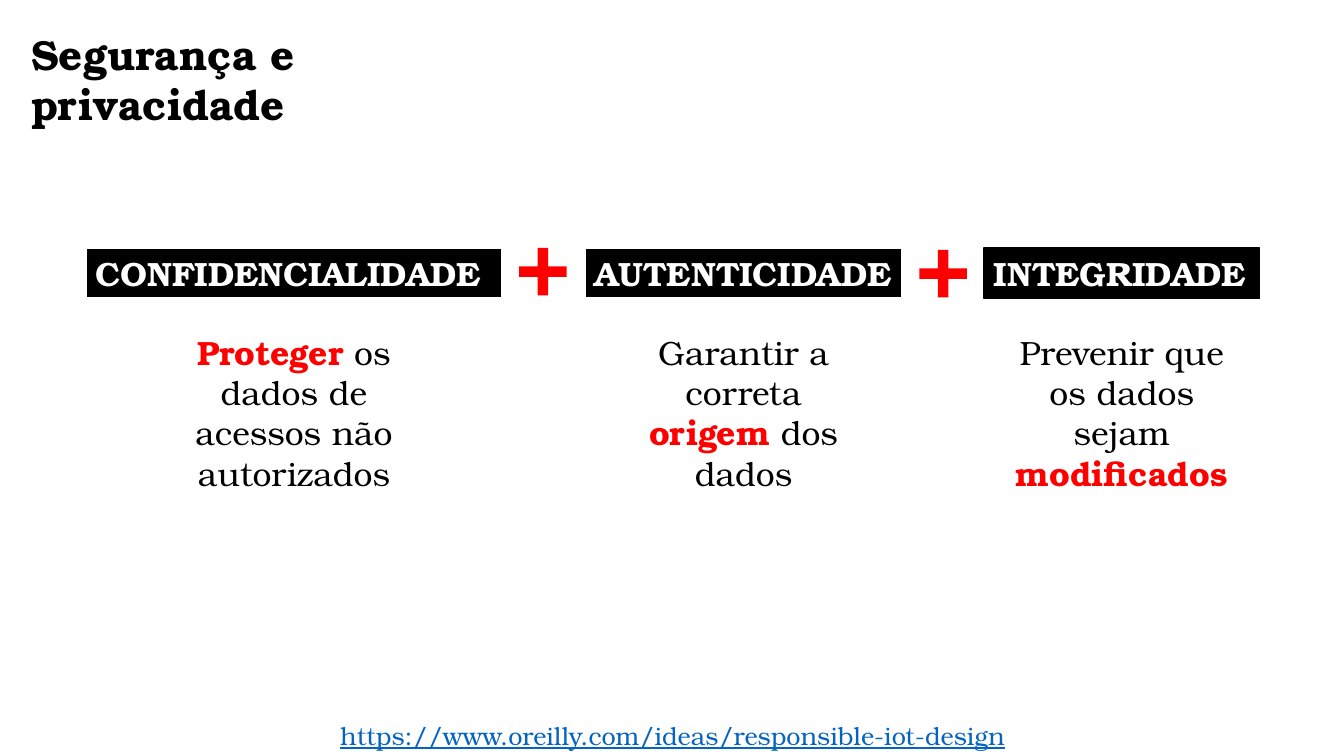
import pptx
import pptx.util
import pptx.dml.color
import pptx.enum.shapes
import pptx.enum.text

Inches = pptx.util.Inches
Pt = pptx.util.Pt
SHAPES = pptx.enum.shapes.MSO_SHAPE
ALIGN = pptx.enum.text.PP_ALIGN
FONT = "TeX Gyre Bonum"
COLORS = {"black": "000000", "white": "FFFFFF", "red": "FF0000", "link": "0563C1"}


def color(name):
    return pptx.dml.color.RGBColor.from_string(COLORS[name])


def write(box, spans, size, align):
    frame = box.text_frame
    frame.word_wrap = True
    frame.auto_size = pptx.enum.text.MSO_AUTO_SIZE.SHAPE_TO_FIT_TEXT
    para = frame.paragraphs[0]
    para.alignment = align
    para.font.name = FONT
    para.font.size = Pt(size)
    for text, name, bold in spans:
        span = para.add_run()
        span.text = text
        span.font.bold = bold
        span.font.color.rgb = color(name)
    return para


deck = pptx.Presentation()
deck.slide_width = Inches(13.33)
deck.slide_height = Inches(7.5)
page = deck.slides.add_slide(deck.slide_layouts[6])

source = page.shapes.add_textbox(Inches(0.35), Inches(7.1), Inches(12.64), Inches(0.4))
link = write(source, [("https://www.oreilly.com/ideas/responsible-iot-design", "link", False)], 18, ALIGN.CENTER)
link.font.underline = True
link.runs[0].font.underline = True

pillars = [
    ("CONFIDENCIALIDADE", 0.85, 4.13, "white", 1.5, 2.77,
     [("Proteger", "red", True), (" os dados de acessos não autorizados", "black", False)]),
    ("AUTENTICIDADE", 5.8, 3.15, "white", 1.5, 2.2,
     [("Garantir a correta ", "black", False), ("origem", "red", True), (" dos dados", "black", False)]),
    ("INTEGRIDADE", 9.76, 2.73, "black", 1, 2.39,
     [("Prevenir que os dados sejam ", "black", False), ("modificados", "red", True)]),
]
for name, left, width, border, weight, text_width, spans in pillars:
    label = page.shapes.add_shape(SHAPES.RECTANGLE, Inches(left), Inches(2.46), Inches(width), Inches(0.5))
    label.shadow.inherit = False
    label.fill.solid()
    label.fill.fore_color.rgb = color("black")
    label.line.color.rgb = color(border)
    label.line.width = Pt(weight)
    label.text_frame.margin_right = 0
    write(label, [(name, "white", True)], 24, ALIGN.LEFT)

    text_left = left + (width - text_width) / 2
    meaning = page.shapes.add_textbox(Inches(text_left), Inches(3.24), Inches(text_width), Inches(1.72))
    write(meaning, spans, 24, ALIGN.CENTER)

title = page.shapes.add_textbox(Inches(0.21), Inches(0.23), Inches(5.32), Inches(0.61))
write(title, [("Segurança e privacidade", "black", True)], 30, ALIGN.LEFT)

for left, top in [(5.15, 2.46), (9.12, 2.48)]:
    plus = page.shapes.add_shape(SHAPES.CROSS, Inches(left), Inches(top), Inches(0.47), Inches(0.47))
    plus.adjustments[0] = 0.388
    plus.shadow.inherit = False
    plus.fill.solid()
    plus.fill.fore_color.rgb = color("red")
    plus.line.fill.background()

deck.save("out.pptx")
